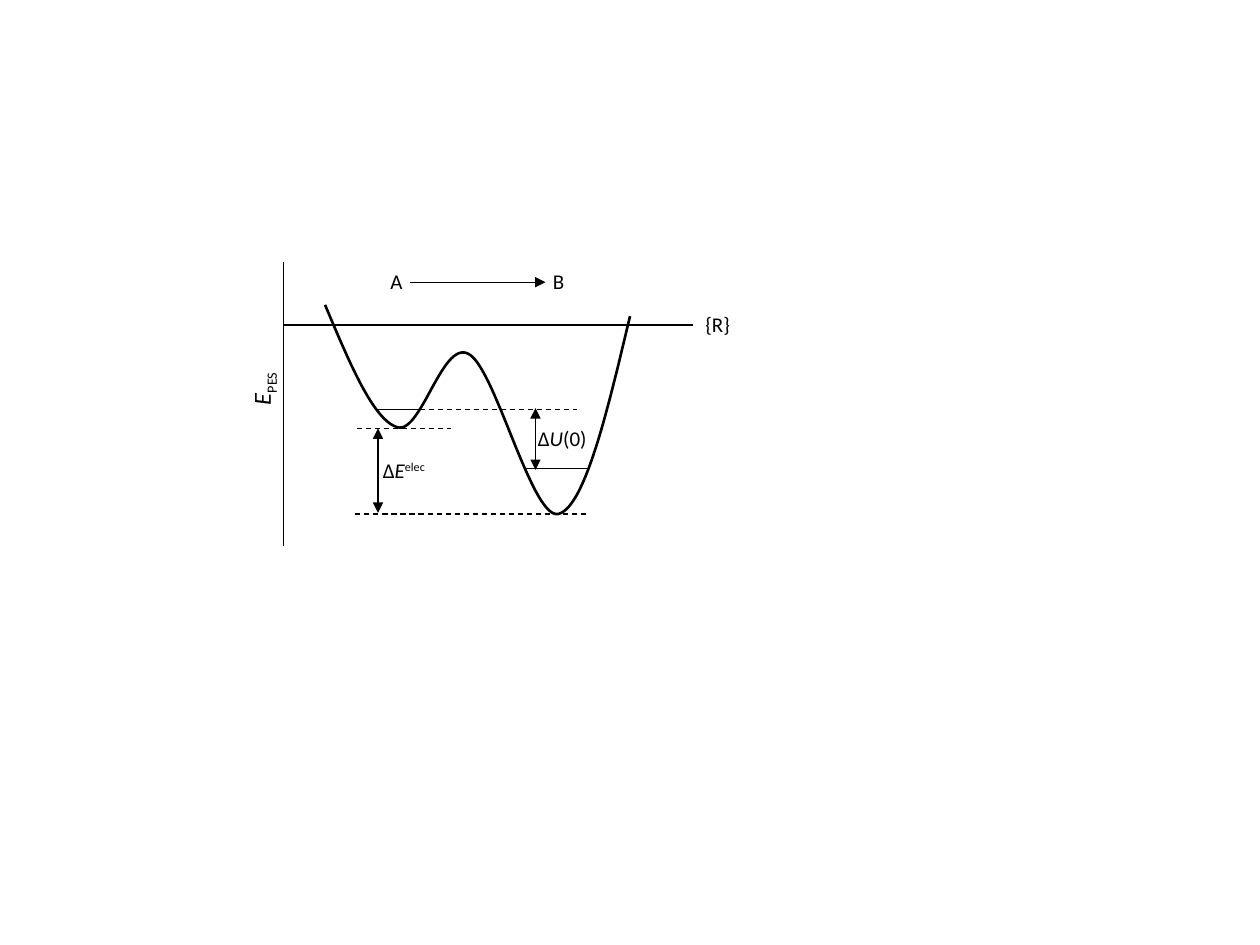
from dataclasses import dataclass

from lxml.etree import SubElement
from pptx import Presentation
from pptx.dml.color import RGBColor
from pptx.enum.dml import MSO_LINE
from pptx.enum.shapes import MSO_CONNECTOR
from pptx.enum.text import MSO_AUTO_SIZE
from pptx.oxml.ns import qn
from pptx.util import Inches, Pt


@dataclass(frozen=True)
class Theme:
    ink: RGBColor = RGBColor(0, 0, 0)
    font: str = "Calibri"
    label_size: float = 12
    axis_size: float = 14
    thin: float = 0.75
    thick: float = 1.5


theme = Theme()
presentation = Presentation()
presentation.slide_width = Inches(10)
presentation.slide_height = Inches(7.5)
slide = presentation.slides.add_slide(presentation.slide_layouts[6])


def add_line(start, end, dashed=False, arrows=()):
    """Draw a thin line; arrows may hold headEnd (start) and tailEnd (end)."""
    connector = slide.shapes.add_connector(
        MSO_CONNECTOR.STRAIGHT, *map(Inches, start + end))
    connector.line.color.rgb = theme.ink
    connector.line.width = Pt(theme.thin)
    if dashed:
        connector.line.dash_style = MSO_LINE.DASH
    properties = connector._element.spPr
    for arrow in arrows:
        SubElement(properties.find(qn("a:ln")), qn(f"a:{arrow}"), type="triangle")
    SubElement(properties, qn("a:effectLst"))


def add_label(runs, left, top, width, height=0.3, size=theme.label_size, rotation=0):
    """Write runs of (text, italic, baseline in percent) in one text box."""
    box = slide.shapes.add_textbox(*map(Inches, (left, top, width, height)))
    box.rotation = rotation
    frame = box.text_frame
    frame.word_wrap = False
    frame.auto_size = MSO_AUTO_SIZE.SHAPE_TO_FIT_TEXT
    for text, italic, baseline in runs:
        run = frame.paragraphs[0].add_run()
        run.text = text
        run.font.name = theme.font
        run.font.size = Pt(size)
        run.font.italic = italic
        run.font.color.rgb = theme.ink
        if baseline:
            run._r.get_or_add_rPr().set("baseline", str(baseline * 1000))


# Axes
add_line((2.25, 4.33), (2.25, 2.08))
add_line((2.25, 2.58), (5.5, 2.58))
add_label([("E", True, 0), ("PES", False, -25)], 1.83, 2.91, 0.48, 0.33,
          size=theme.axis_size, rotation=270)
add_label([("{R}", False, 0)], 5.5, 2.42, 0.4)

# Potential energy curve: cubic Bézier pieces, each starting where the last ended
curve_start = (2.58, 2.42)
curve_pieces = [
    ((2.77, 2.87), (2.96, 3.33), (3.15, 3.39)),
    ((3.34, 3.46), (3.51, 2.69), (3.72, 2.81)),
    ((3.93, 2.92), (4.22, 4.12), (4.43, 4.08)),
    ((4.64, 4.03), (4.82, 3.27), (5, 2.51)),
]
steps = 30
curve_points = []
start = curve_start
for control_1, control_2, end in curve_pieces:
    for step in range(1, steps + 1):
        t = step / steps
        weights = ((1 - t) ** 3, 3 * t * (1 - t) ** 2, 3 * t ** 2 * (1 - t), t ** 3)
        anchors = (start, control_1, control_2, end)
        curve_points.append(tuple(
            Inches(sum(weight * anchor[axis] for weight, anchor in zip(weights, anchors)))
            for axis in (0, 1)))
    start = end
builder = slide.shapes.build_freeform(*map(Inches, curve_start))
builder.add_line_segments(curve_points, close=False)
curve = builder.convert_to_shape()
curve.shadow.inherit = False
curve.fill.background()
curve.line.color.rgb = theme.ink
curve.line.width = Pt(theme.thick)

# Zero-point levels and dashed reference levels
for left, right, level, dashed in [
    (2.99, 3.33, 3.25, False),
    (4.17, 4.67, 3.72, False),
    (2.83, 3.58, 3.4, True),
    (2.82, 4.65, 4.08, True),
    (3.33, 4.58, 3.25, True),
]:
    add_line((left, level), (right, level), dashed=dashed)

# Energy differences
both_ends = ("headEnd", "tailEnd")
add_line((3, 3.4), (3, 4.07), arrows=both_ends)
add_label([("Δ", False, 0), ("E", True, 0), ("elec", False, 30)], 2.94, 3.58, 0.56)
add_line((4.25, 3.24), (4.25, 3.73), arrows=both_ends)
add_label([("Δ", False, 0), ("U", True, 0), ("(0)", False, 0)], 4.17, 3.33, 0.59)

# Reaction from A to B
add_label([("A", False, 0)], 3, 2.08, 0.3)
add_label([("B", False, 0)], 4.29, 2.08, 0.29)
add_line((3.25, 2.24), (4.33, 2.24), arrows=("tailEnd",))

presentation.save("out.pptx")
